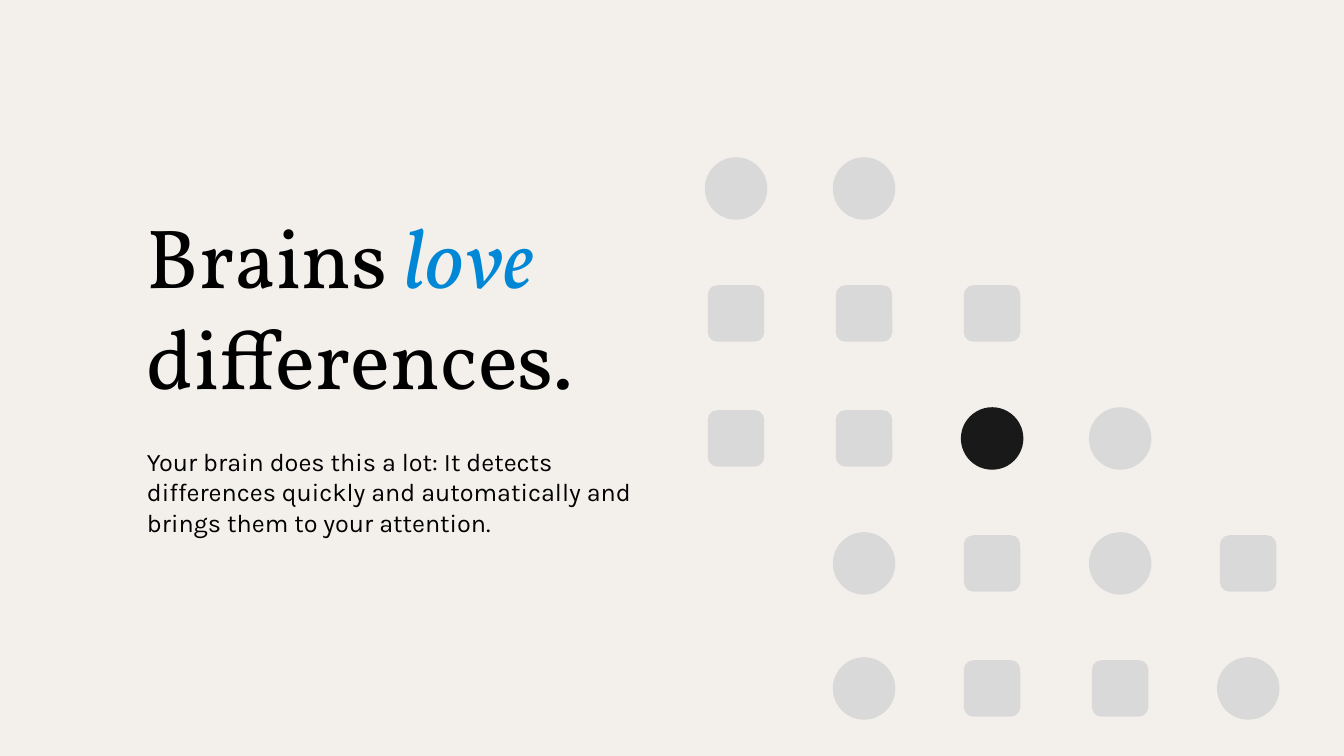
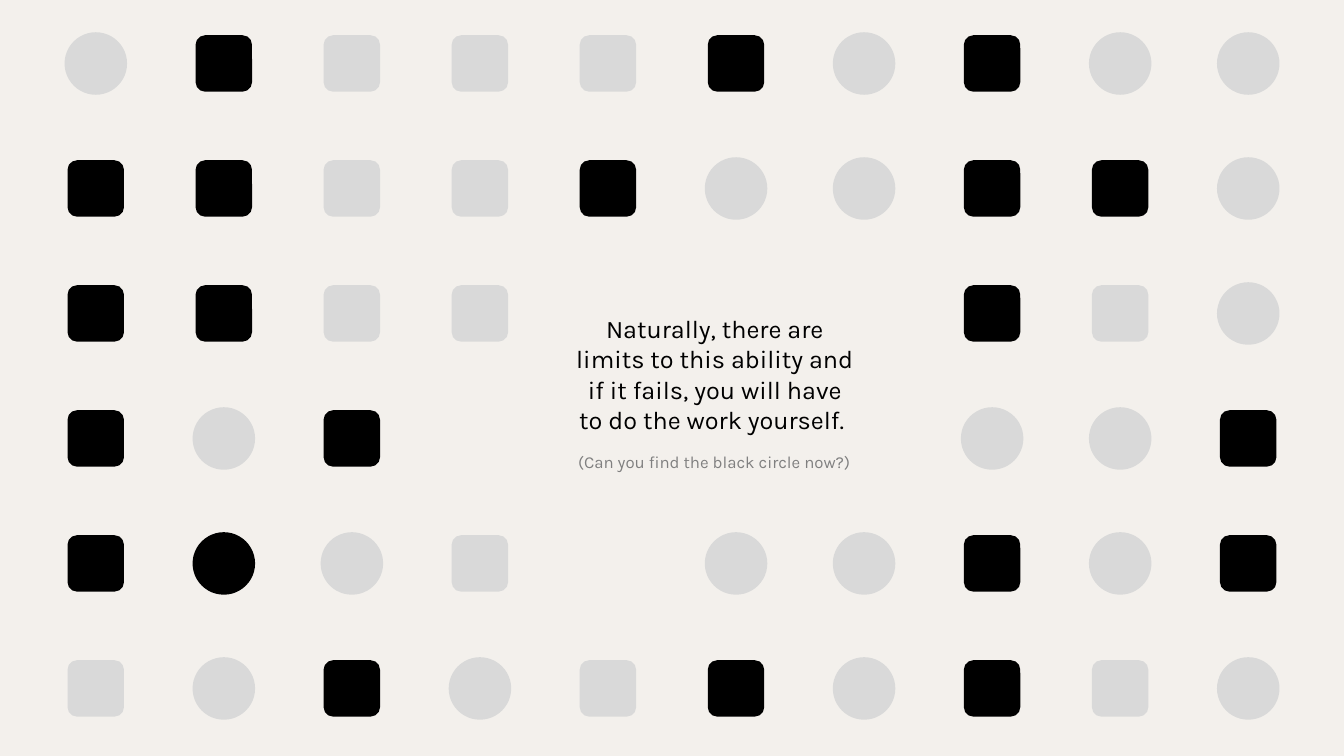
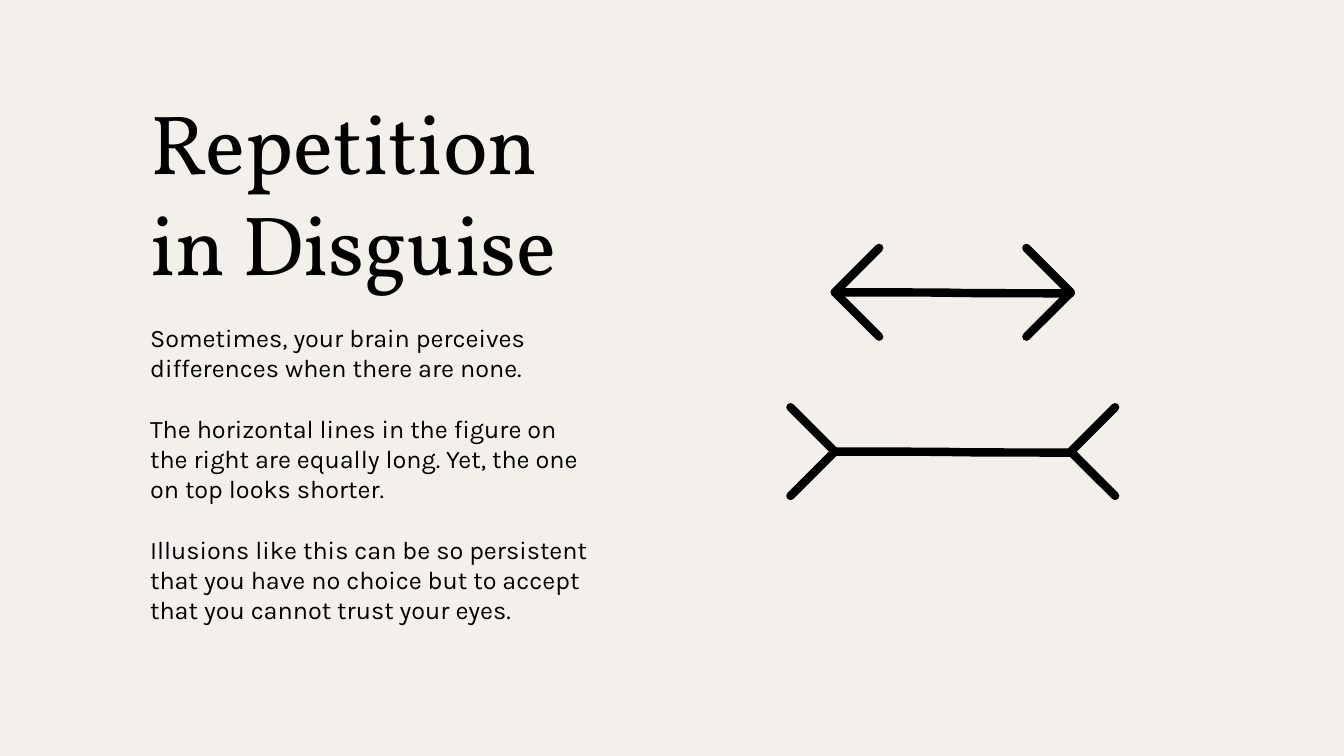
from lxml import etree
from pptx import Presentation
from pptx.dml.color import RGBColor
from pptx.enum.shapes import MSO_CONNECTOR, MSO_SHAPE
from pptx.enum.text import PP_ALIGN
from pptx.oxml.ns import qn
from pptx.util import Inches, Pt

CIRCLE, SQUARE = MSO_SHAPE.OVAL, MSO_SHAPE.ROUNDED_RECTANGLE
STRAIGHT, CURVE = MSO_CONNECTOR.STRAIGHT, MSO_CONNECTOR.CURVE
LEFT, CENTER = PP_ALIGN.LEFT, PP_ALIGN.CENTER

COLORS = {"paper": "F3F0EC", "black": "000000", "ink": "191919",
          "light": "D9D9D9", "accent": "0087D6", "muted": "808080"}
TITLE_FONT, BODY_FONT = "Vollkorn", "Karla"

# Grid of dots: centre of the first cell, distance between cells, dot sizes
GRID_X, GRID_Y = 0.95, 0.63
STEP_X, STEP_Y = 1.27, 1.24
SIZES = {CIRCLE: 0.62, SQUARE: 0.56}
DOTS = {"o": (CIRCLE, "light"), "s": (SQUARE, "light"), "S": (SQUARE, "black"),
        "O": (CIRCLE, "black"), "I": (CIRCLE, "ink")}


def rgb(name):
    return RGBColor.from_string(COLORS[name])


def add_dots(slide, rows, first_col=0, first_row=0):
    """Draw one dot per letter; a full stop leaves its cell empty."""
    for row, line in enumerate(rows, first_row):
        for col, mark in enumerate(line, first_col):
            if mark == ".":
                continue
            kind, color = DOTS[mark]
            size = SIZES[kind]
            sp = slide.shapes.add_shape(
                kind, Inches(GRID_X + col * STEP_X - size / 2),
                Inches(GRID_Y + row * STEP_Y - size / 2), Inches(size), Inches(size))
            sp.shadow.inherit = False
            sp.fill.solid()
            sp.fill.fore_color.rgb = rgb(color)
            sp.line.fill.background()


def add_text_box(slide, box):
    tf = slide.shapes.add_textbox(*map(Inches, box)).text_frame
    tf.word_wrap = True
    return tf


def style(p, font, size, color="black", align=LEFT, after=0):
    p.font.name, p.font.size = font, Pt(size)
    p.font.color.rgb = rgb(color)
    p.alignment, p.space_after = align, Pt(after)


def add_story(slide, box, title, paragraphs, title_gap, gap=21.6):
    """Title runs are (text, is_accent) pairs, followed by body paragraphs."""
    tf = add_text_box(slide, box)
    p = tf.paragraphs[0]
    style(p, TITLE_FONT, 60, after=title_gap)
    for text, is_accent in title:
        r = p.add_run()
        r.text = text
        if is_accent:
            r.font.italic = True
            r.font.color.rgb = rgb("accent")
    for i, text in enumerate(paragraphs, 1):
        p = tf.add_paragraph()
        p.text = text
        style(p, BODY_FONT, 18, after=gap if i < len(paragraphs) else 0)


def add_caption(slide, box, text, size, color):
    p = add_text_box(slide, box).paragraphs[0]
    p.text = text
    style(p, BODY_FONT, size, color, CENTER)


def add_stroke(slide, kind, x1, y1, x2, y2):
    line = slide.shapes.add_connector(kind, *map(Inches, (x1, y1, x2, y2)))
    line.line.width = Pt(6)
    line.line.color.rgb = rgb("black")
    line.line._get_or_add_ln().set("cap", "rnd")
    etree.SubElement(line._element.spPr, qn("a:effectLst"))


def add_illusion_line(slide, x, y, width, inward, fin=0.44):
    """A shaft whose fins point inward (arrow) or outward (fork)."""
    add_stroke(slide, CURVE, x, y, x + width, y + 0.01)
    reach = fin if inward else -fin
    for end, dx in ((x, reach), (x + width, -reach)):
        for dy in (-fin, fin):
            add_stroke(slide, STRAIGHT, end, y, end + dx, y + dy)


def differences_slide(slide):
    add_dots(slide, ["oo...", "sss..", "ssIo.", ".osos", ".osso"],
             first_col=5, first_row=1)
    add_story(slide, (1.36, 1.98, 5.23, 3.43),
              [("Brains ", False), ("love", True), (" differences.", False)],
              ["Your brain does this a lot: It detects differences quickly and "
               "automatically and brings them to your attention."], title_gap=28.8)


def limits_slide(slide):
    add_dots(slide, ["oSsssSoSoo", "SSssSooSSo", "SSss...Sso",
                     "SoS....ooS", "SOos.ooSoS", "soSosSoSso"])
    add_caption(slide, (5.61, 3.06, 2.96, 1.31),
                "Naturally, there are limits to this ability and if it fails, "
                "you will have to do the work yourself. ", 18, "black")
    add_caption(slide, (5.6, 4.43, 2.97, 0.3),
                "(Can you find the black circle now?)", 12, "muted")


def illusion_slide(slide):
    add_story(slide, (1.39, 0.85, 4.55, 5.45), [("Repetition in Disguise", False)],
              ["Sometimes, your brain perceives differences when there are none.",
               "The horizontal lines in the figure on the right are equally long. "
               "Yet, the one on top looks shorter.",
               "Illusions like this can be so persistent that you have no choice but "
               "to accept that you cannot trust your eyes."], title_gap=21.6)
    for y, inward in ((2.9, True), (4.48, False)):
        add_illusion_line(slide, 8.28, y, 2.34, inward)


prs = Presentation()
prs.slide_width, prs.slide_height = Inches(13.33), Inches(7.5)
background = prs.slide_master.background.fill
background.solid()
background.fore_color.rgb = rgb("paper")

for build in (differences_slide, limits_slide, illusion_slide):
    build(prs.slides.add_slide(prs.slide_layouts[6]))

prs.save("out.pptx")
